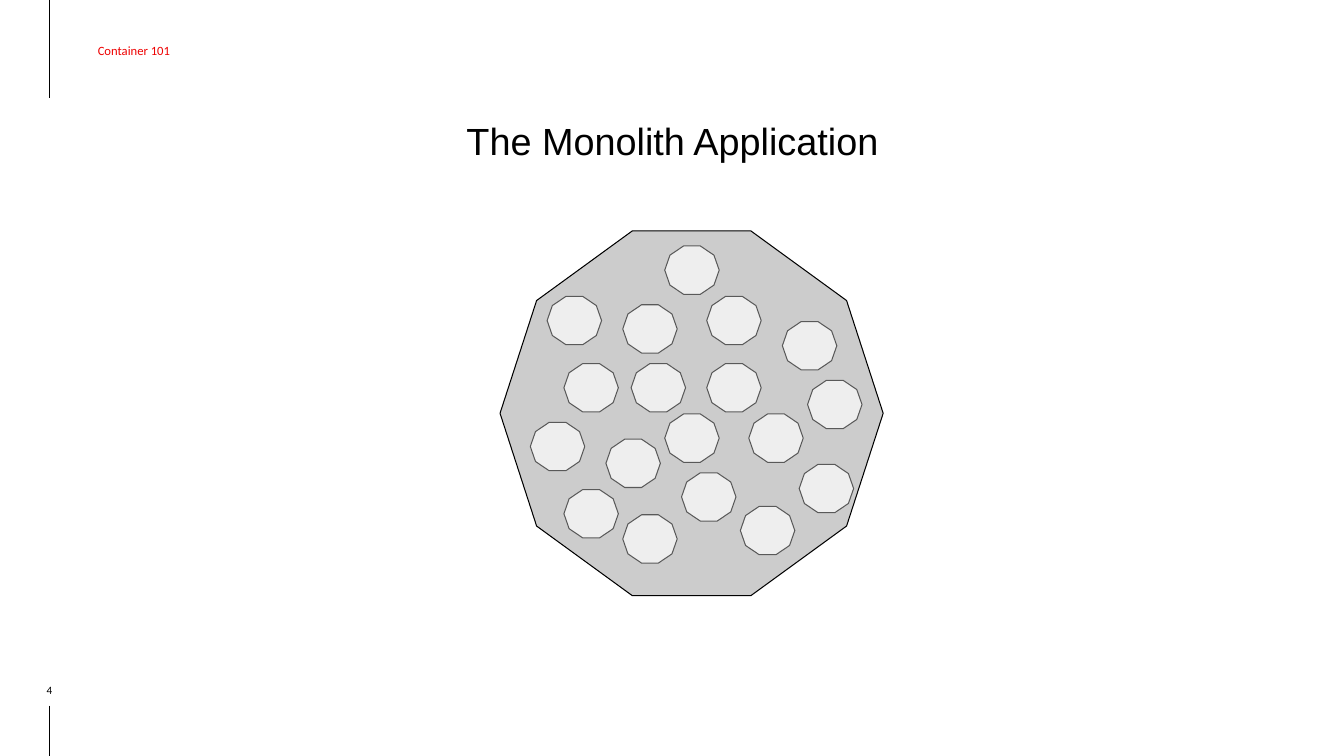
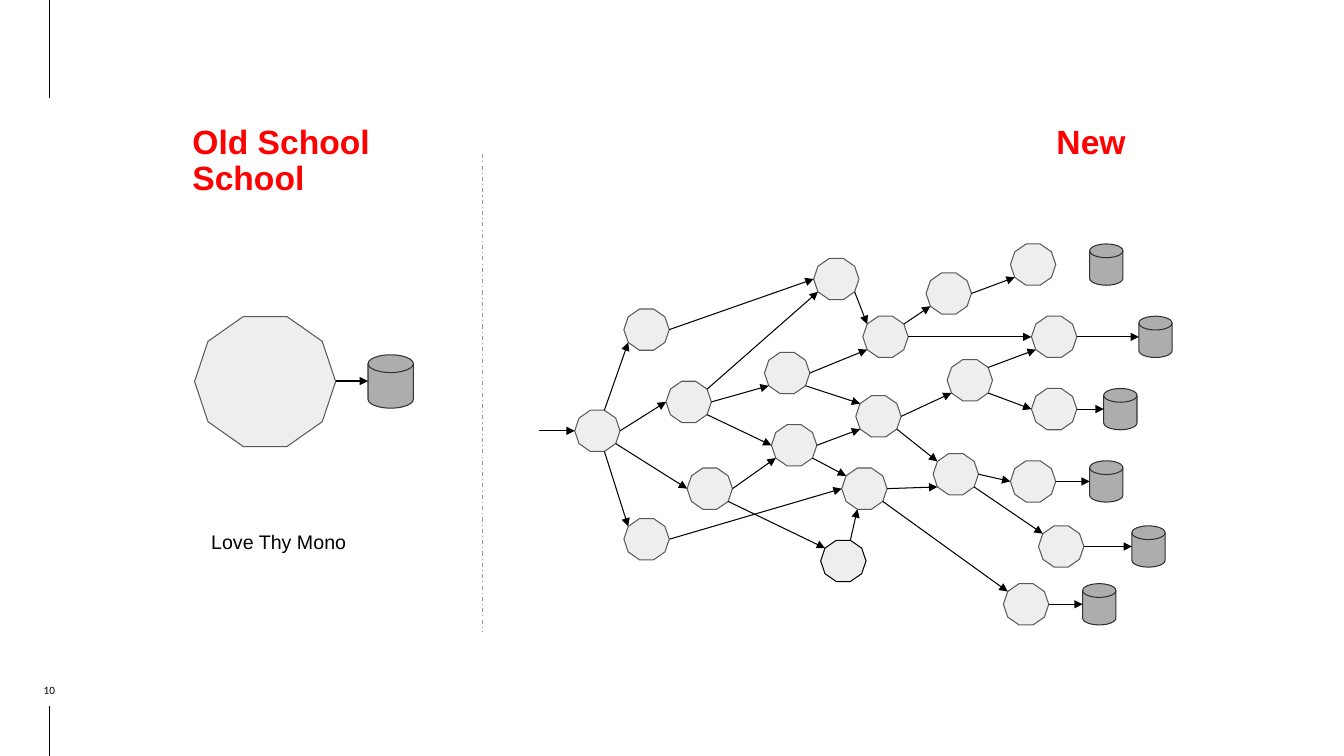
from math import cos, radians, sin

from lxml import etree
from pptx import Presentation
from pptx.dml.color import RGBColor
from pptx.enum.dml import MSO_LINE
from pptx.enum.shapes import MSO_CONNECTOR, MSO_SHAPE
from pptx.enum.text import MSO_ANCHOR, PP_ALIGN
from pptx.oxml.ns import qn
from pptx.util import Inches, Pt

DECAGON = MSO_SHAPE.DECAGON
CYLINDER = MSO_SHAPE.FLOWCHART_MAGNETIC_DISK
STRAIGHT = MSO_CONNECTOR.STRAIGHT
DASH_DOT = MSO_LINE.DASH_DOT
LEFT, CENTER = PP_ALIGN.LEFT, PP_ALIGN.CENTER
TOP, MIDDLE, BOTTOM = MSO_ANCHOR.TOP, MSO_ANCHOR.MIDDLE, MSO_ANCHOR.BOTTOM

COLORS = {
    "black": "000000",
    "label": "EE0000",
    "heading": "FF0000",
    "service": "EEEEEE",
    "service edge": "595959",
    "monolith": "CCCCCC",
    "store": "ADADAD",
    "store edge": "303030",
    "divider": "999999",
}
WIDTH, HEIGHT = 13.33, 7.5
MARGIN = 0.49


def add_text(page, text, at, size, color, font="Arial", align=LEFT, anchor=TOP,
             insets=(0.1, 0.1, 0.1, 0.1), spacing=1.0, bold=False, tab=None):
    box = page.shapes.add_textbox(*map(Inches, at))
    frame = box.text_frame
    frame.word_wrap = True
    frame.vertical_anchor = anchor
    (frame.margin_left, frame.margin_top,
     frame.margin_right, frame.margin_bottom) = map(Inches, insets)
    para = frame.paragraphs[0]
    para.text = text
    para.alignment = align
    para.line_spacing = spacing
    if tab:
        stops = etree.SubElement(para._p.get_or_add_pPr(), qn("a:tabLst"))
        etree.SubElement(stops, qn("a:tab"), pos=str(Inches(tab)), algn="l")
    para.font.name = font
    para.font.size = Pt(size)
    para.font.bold = bold
    para.font.color.rgb = RGBColor.from_string(COLORS[color])


def add_figure(page, kind, at, fill, edge):
    figure = page.shapes.add_shape(kind, *map(Inches, at))
    figure.shadow.inherit = False
    figure.fill.solid()
    figure.fill.fore_color.rgb = RGBColor.from_string(COLORS[fill])
    figure.line.color.rgb = RGBColor.from_string(COLORS[edge])
    figure.line.width = Pt(0.75)


deck = Presentation()
deck.slide_width, deck.slide_height = Inches(WIDTH), Inches(HEIGHT)
blank = deck.slide_layouts[6]
monolith_page, compare_page = deck.slides.add_slide(blank), deck.slides.add_slide(blank)

# Every line: page, start, end, colour, points, has arrowhead, dash
lines = []

# Shared frame: margin rules and page number
for page, number in ((monolith_page, "4"), (compare_page, "10")):
    for top, bottom in ((0, 0.97), (7, HEIGHT)):
        lines.append((page, (MARGIN, top), (MARGIN, bottom), "black", 0.75, False, None))
    add_text(page, number, (0.09, 6.75, 0.8, 0.16), 8, "black", "Calibri",
             CENTER, BOTTOM, (0, 0, 0, 0))

# Slide 1: heading
add_text(monolith_page, "The Monolith Application", (1.92, 1.03, 9.5, 1.06), 27,
         "black", align=CENTER, insets=(0, 0, 0, 0), spacing=1.3)
add_text(monolith_page, "Container 101", (MARGIN, 0.06, 5.63, 0.89), 9, "label",
         "Calibri", anchor=MIDDLE, insets=(0.48, 0.1, 0.1, 0.1))

# Slide 1: the monolith with its modules on a grid of twelfths of an inch
add_figure(monolith_page, DECAGON, (4.96, 2.29, 3.8, 3.62), "monolith", "black")
modules = [
    (2, 6), (4, 14), (11, 7), (12, 14), (21, 14), (16, 20), (0, 21), (9, 23), (4, 29),
    (11, 32), (25, 31), (18, 27), (16, 0), (21, 6), (30, 9), (26, 20), (33, 16), (32, 26),
]
for column, row in modules:
    add_figure(monolith_page, DECAGON, (5.26 + column / 12, 2.44 + row / 12, 0.54, 0.48),
               "service", "service edge")

# Slide 2: headings and divider
add_text(compare_page, "Old School\tNew School", (1.81, 1.36, 9.72, 0.48), 24, "heading",
         anchor=MIDDLE, spacing=0.9, bold=True, tab=8.57)
lines.append((compare_page, (4.79, 1.53), (4.79, 6.26), "divider", 0.75, False, DASH_DOT))

# Slide 2: old school, one application and one store
add_figure(compare_page, DECAGON, (1.93, 3.14, 1.4, 1.29), "service", "service edge")
add_figure(compare_page, CYLINDER, (3.65, 3.52, 0.45, 0.53), "store", "store edge")
lines.append((compare_page, (3.33, 3.78), (3.65, 3.78), "black", 1.5, True, None))
add_text(compare_page, "Love Thy Mono", (1.31, 5.16, 2.91, 0.53), 14, "black", align=CENTER)

# Slide 2: new school, services by column and row of a fine grid
GRID_LEFT, GRID_TOP = 5.7, 2.42
COLUMN, ROW = 4.6 / 66, 3.37 / 47
NODE_WIDTH, NODE_HEIGHT, STORE_WIDTH = 0.45, 0.41, 0.33
services = {
    "a": (0, 23), "b": (7, 9), "c": (13, 19), "d": (16, 31), "e": (7, 38),
    "f": (27, 15), "g": (28, 25), "h": (35, 41), "i": (38, 31), "j": (40, 21),
    "k": (41, 10), "l": (34, 2), "m": (53, 16), "n": (51, 29), "o": (65, 20),
    "p": (65, 10), "q": (62, 30), "r": (66, 39), "s": (62, 0), "t": (61, 47),
    "u": (50, 4),
}
# Corners are numbered clockwise from 0 at the right
corners = {}
for name, (column, row) in services.items():
    left, top = GRID_LEFT + column * COLUMN, GRID_TOP + row * ROW
    add_figure(compare_page, DECAGON, (left, top, NODE_WIDTH, NODE_HEIGHT),
               "service", "black" if name == "h" else "service edge")
    for corner in range(10):
        angle = radians(36 * corner)
        corners[f"{name}{corner}"] = (
            left + NODE_WIDTH / 2 * (1 + cos(angle)),
            top + NODE_HEIGHT / 2 * (1 + sin(angle) / sin(radians(72))),
        )

# Slide 2: calls between services, from corner to corner
calls = """a8-b4 a0-c5 a1-d5 a2-e6 c0-f4 b0-l5 c9-l4 c1-g5 d0-g4 l1-k6 f0-k4 k9-u4 f1-j6 g0-j4
           g1-i6 e0-i5 d1-h6 h8-i3 j0-m4 j1-n6 i0-n4 k0-p5 u0-s4 m1-o5 n0-q5 n1-r6 i1-t6 m9-p4"""
arrows = [[corners[end] for end in call.split("-")] for call in calls.split()]
entry_x, entry_y = corners["a5"]
arrows.append([(entry_x - 0.35, entry_y), (entry_x, entry_y)])

# Slide 2: stores, each in the row of its service; the top one has no arrow
stores = {"s": 73, "p": 80, "o": 75, "q": 73, "r": 79, "t": 72}
for name, column in stores.items():
    left, top = GRID_LEFT + 0.02 + column * COLUMN, GRID_TOP + services[name][1] * ROW
    add_figure(compare_page, CYLINDER, (left, top, STORE_WIDTH, NODE_HEIGHT),
               "store", "store edge")
    if name != "s":
        start = corners[f"{name}0"]
        arrows.append([start, (left, start[1])])
lines += [(compare_page, start, end, "black", 0.75, True, None) for start, end in arrows]

# Draw all lines
for page, start, end, color, points, has_head, dash in lines:
    line = page.shapes.add_connector(STRAIGHT, *map(Inches, start + end))
    line.line.color.rgb = RGBColor.from_string(COLORS[color])
    line.line.width = Pt(points)
    if dash:
        line.line.dash_style = dash
    properties = line.element.spPr
    if has_head:
        etree.SubElement(properties.find(qn("a:ln")), qn("a:tailEnd"), type="triangle")
    etree.SubElement(properties, qn("a:effectLst"))

deck.save("out.pptx")
